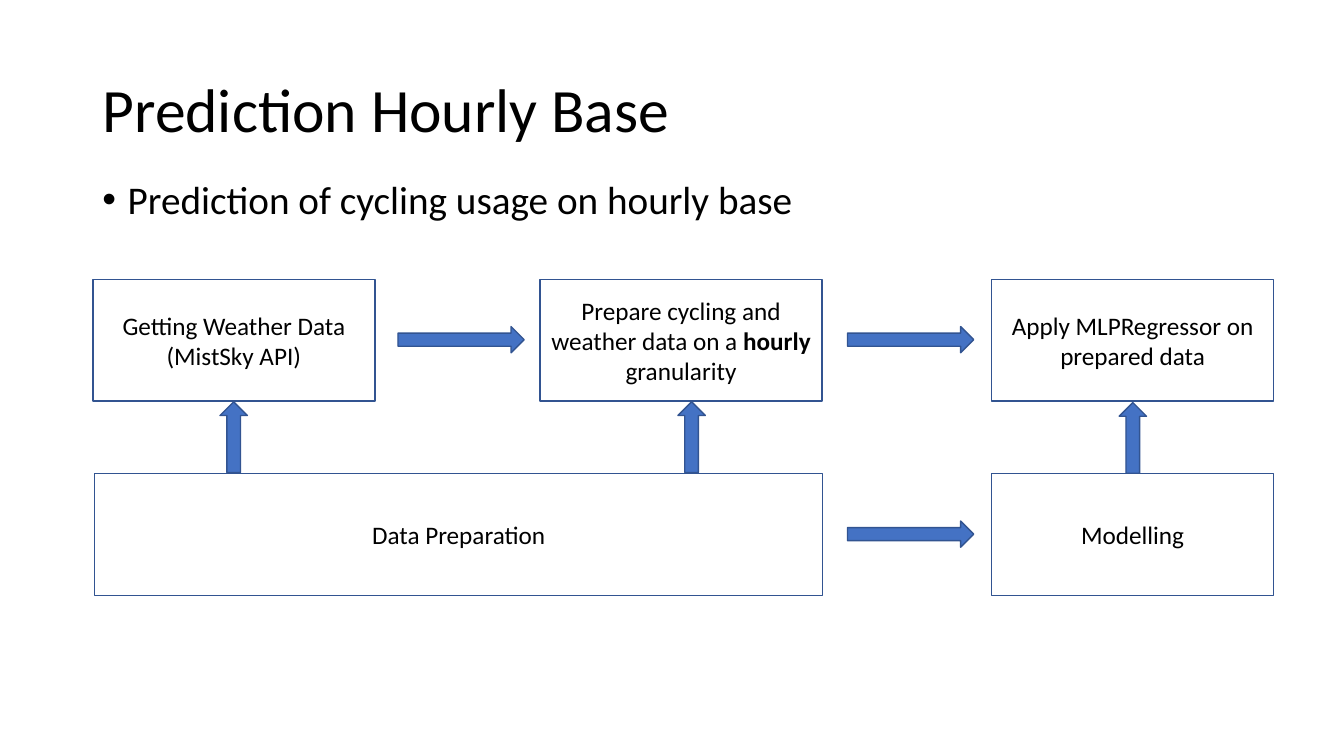
from lxml.etree import SubElement
from pptx import Presentation
from pptx.dml.color import RGBColor
from pptx.enum.shapes import MSO_SHAPE as Shape
from pptx.enum.text import MSO_ANCHOR as Anchor, PP_ALIGN as Align
from pptx.oxml.ns import qn
from pptx.util import Cm, Pt


def style_runs(paragraph, size):
    for run in paragraph.runs:
        run.font.name = "Calibri"
        run.font.size = Pt(size)
        run.font.color.rgb = RGBColor.from_string("000000")


def add_outlined(kind, left, top, width, height):
    shape = slide.shapes.add_shape(kind, Cm(left), Cm(top), Cm(width), Cm(height))
    shape.shadow.inherit = False
    shape.line.color.rgb = RGBColor.from_string("325491")
    shape.line.width = Pt(1)
    return shape


deck = Presentation()
deck.slide_width, deck.slide_height = Cm(33.87), Cm(19.05)
slide = deck.slides.add_slide(deck.slide_layouts[5])

title = slide.shapes.title
title.left, title.top, title.width, title.height = Cm(2.33), Cm(1), Cm(29.21), Cm(3.68)
title.text_frame.text = "Prediction Hourly Base"
title.text_frame.vertical_anchor = Anchor.MIDDLE
heading = title.text_frame.paragraphs[0]
heading.alignment = Align.LEFT
heading.line_spacing = 0.9
style_runs(heading, 44)

summary = slide.shapes.add_textbox(Cm(2.33), Cm(4.42), Cm(29.21), Cm(1.5))
summary.text_frame.word_wrap = True
summary.text_frame.text = "Prediction of cycling usage on hourly base"
bullet = summary.text_frame.paragraphs[0]
bullet.line_spacing = 0.9
style_runs(bullet, 28)
bullet_format = bullet._p.get_or_add_pPr()
bullet_format.set("marL", str(Cm(0.64)))
bullet_format.set("indent", str(-Cm(0.64)))
SubElement(bullet_format, qn("a:buFont"), typeface="Arial")
SubElement(bullet_format, qn("a:buChar"), char="•")

step_top, phase_top = 7.04, 11.94
step_width, step_height = 7.11, 3.07
weather_left, prepare_left, model_left = 2.34, 13.61, 24.99

steps = [
    (weather_left, step_top, step_width, ["Getting Weather Data (MistSky API)"]),
    (prepare_left, step_top, step_width,
     ["Prepare cycling and weather data on a ", "hourly", " granularity"]),
    (model_left, step_top, step_width, ["Apply MLPRegressor on prepared data"]),
    (2.39, phase_top, 18.34, ["Data Preparation"]),
    (model_left, phase_top, step_width, ["Modelling"]),
]
for left, top, width, parts in steps:
    step = add_outlined(Shape.RECTANGLE, left, top, width, step_height)
    step.fill.background()
    step.text_frame.word_wrap = True
    step.text_frame.vertical_anchor = Anchor.MIDDLE
    label = step.text_frame.paragraphs[0]
    label.alignment = Align.CENTER
    for part in parts:
        run = label.add_run()
        run.text = part
        run.font.bold = part == "hourly"
    style_runs(label, 18)

flows = [
    (10.03, 8.23, 3.18, 0.66, 0),
    (21.36, 8.23, 3.18, 0.66, 0),
    (21.36, 13.13, 3.18, 0.66, 0),
    (5, 10.67, 1.78, 0.69, 270),
    (16.54, 10.67, 1.78, 0.69, 270),
    (27.66, 10.69, 1.78, 0.69, 270),
]
for left, top, length, thickness, angle in flows:
    flow = add_outlined(Shape.RIGHT_ARROW, left, top, length, thickness)
    flow.rotation = angle
    flow.fill.solid()
    flow.fill.fore_color.rgb = RGBColor.from_string("4472C4")

deck.save("out.pptx")
